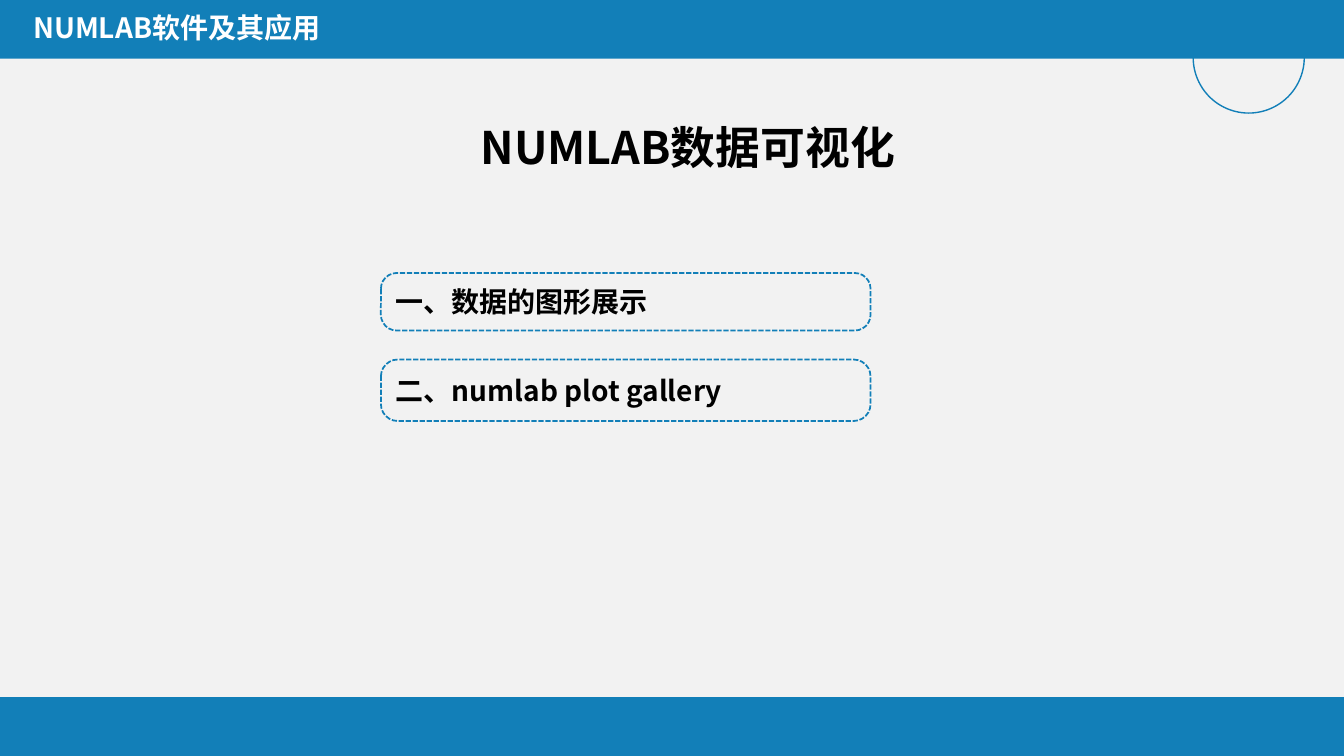
import pptx
import pptx.dml.color
import pptx.enum.dml
import pptx.enum.shapes
import pptx.enum.text
import pptx.oxml.ns
import pptx.util
from lxml import etree

Cm, Pt = pptx.util.Cm, pptx.util.Pt
SHAPES = pptx.enum.shapes.MSO_SHAPE
ALIGN = pptx.enum.text.PP_ALIGN
FONT = "Noto Sans CJK SC"
BLUE, GREY, BLACK, WHITE = "127FB8", "F2F2F2", "000000", "FFFFFF"
WIDTH, HEIGHT, BAND_HEIGHT = 33.87, 19.05, 1.48


def colour(value):
    return pptx.dml.color.RGBColor.from_string(value)


def apply_format(target, values):
    for name, value in values.items():
        setattr(target, name, value)


def write_text(box, text, size, text_colour, align=ALIGN.LEFT):
    frame = box.text_frame
    apply_format(frame, {
        "word_wrap": True,
        "auto_size": pptx.enum.text.MSO_AUTO_SIZE.NONE,
        "vertical_anchor": pptx.enum.text.MSO_ANCHOR.MIDDLE,
    })
    para = frame.paragraphs[0]
    apply_format(para, {"alignment": align, "space_before": Pt(0)})
    span = para.add_run()
    span.text = text
    apply_format(span.font, {"name": FONT, "size": Pt(size), "bold": True})
    span.font.color.rgb = colour(text_colour)
    # East Asian typeface
    east_asian = etree.SubElement(span.font._element, pptx.oxml.ns.qn("a:ea"))
    east_asian.set("typeface", FONT)
    return para


def place(box, left, top, width, height):
    apply_format(box, {"left": Cm(left), "top": Cm(top),
                       "width": Cm(width), "height": Cm(height)})
    # Bring the placeholder in front of the bands
    box.element.getparent().append(box.element)


def add_band(page, top):
    band = page.shapes.add_shape(SHAPES.RECTANGLE, 0, Cm(top),
                                 Cm(WIDTH), Cm(BAND_HEIGHT))
    band.shadow.inherit = False
    band.fill.solid()
    band.fill.fore_color.rgb = colour(BLUE)
    band.line.fill.background()


def add_outline(page, kind, left, top, width, height, weight):
    box = page.shapes.add_shape(kind, Cm(left), Cm(top), Cm(width), Cm(height))
    box.shadow.inherit = False
    box.fill.background()
    box.line.color.rgb = colour(BLUE)
    box.line.width = Pt(weight)
    return box


def add_topic(page, text, top, height):
    box = add_outline(page, SHAPES.ROUNDED_RECTANGLE, 9.6, top, 12.34, height, 1.25)
    box.adjustments[0] = 0.275
    box.line.dash_style = pptx.enum.dml.MSO_LINE.SQUARE_DOT
    write_text(box, text, 20, BLACK)


def main():
    deck = pptx.Presentation()
    apply_format(deck, {"slide_width": Cm(WIDTH), "slide_height": Cm(HEIGHT)})
    page = deck.slides.add_slide(deck.slide_layouts[1])
    page.background.fill.solid()
    page.background.fill.fore_color.rgb = colour(GREY)

    # Bands and half-hidden circle
    for top in (0, HEIGHT - BAND_HEIGHT):
        add_band(page, top)
    add_outline(page, SHAPES.OVAL, 30.07, 0.05, 2.8, 2.8, 1)

    # Course name in the top band
    header = page.placeholders[1]
    place(header, 0.58, 0.07, 7.92, 1.22)
    para = write_text(header, "NUMLAB软件及其应用", 20, WHITE)
    properties = para._p.get_or_add_pPr()
    for name in ("marL", "indent"):
        properties.set(name, "0")
    etree.SubElement(properties, pptx.oxml.ns.qn("a:buNone"))

    # Title
    title = page.shapes.title
    place(title, 0.4, 2.87, WIDTH, 1.63)
    write_text(title, "NUMLAB数据可视化", 32, BLACK, ALIGN.CENTER)

    # Topics
    add_topic(page, "一、数据的图形展示", 6.88, 1.45)
    add_topic(page, "二、numlab plot gallery", 9.06, 1.55)

    deck.save("out.pptx")


if __name__ == "__main__":
    main()
